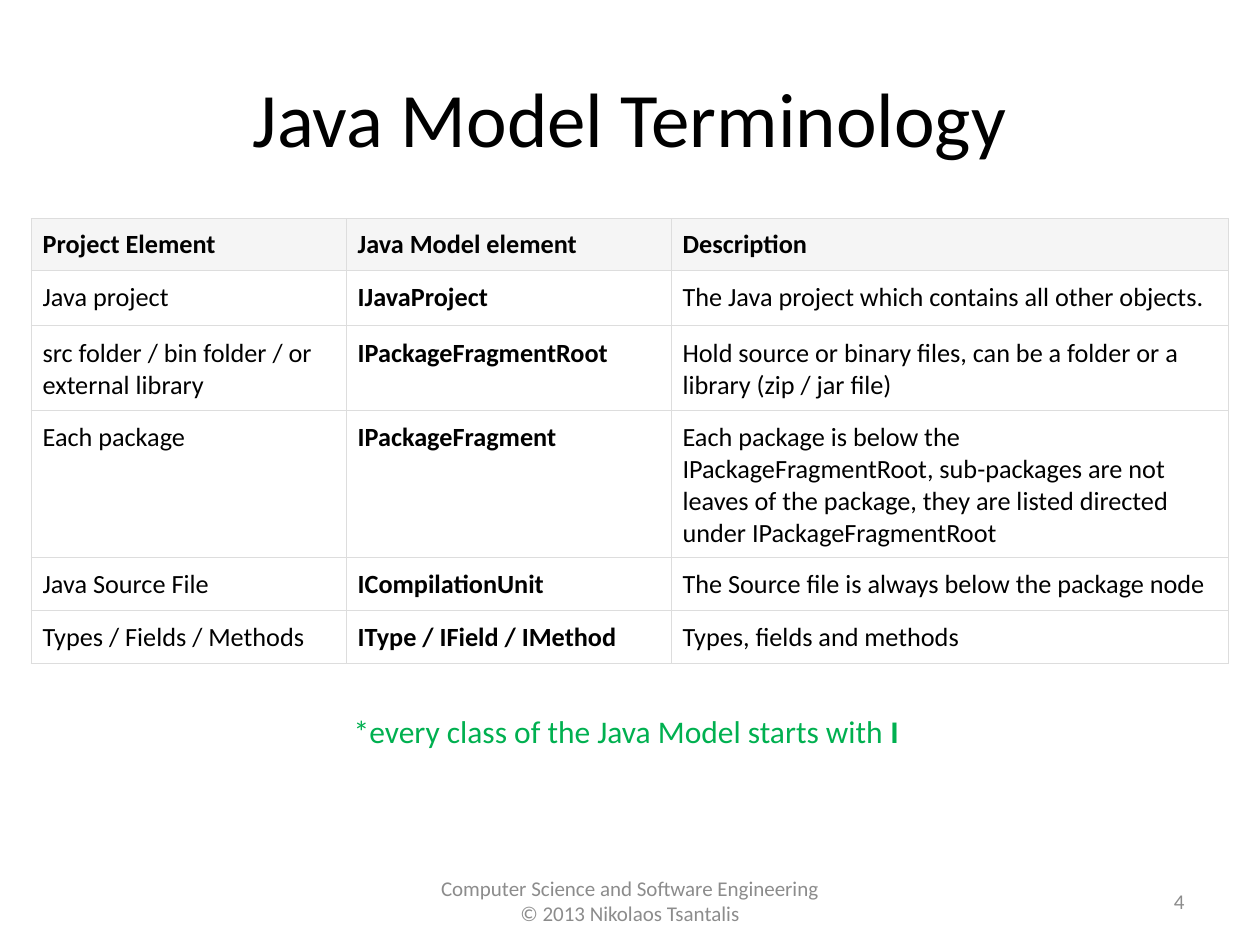
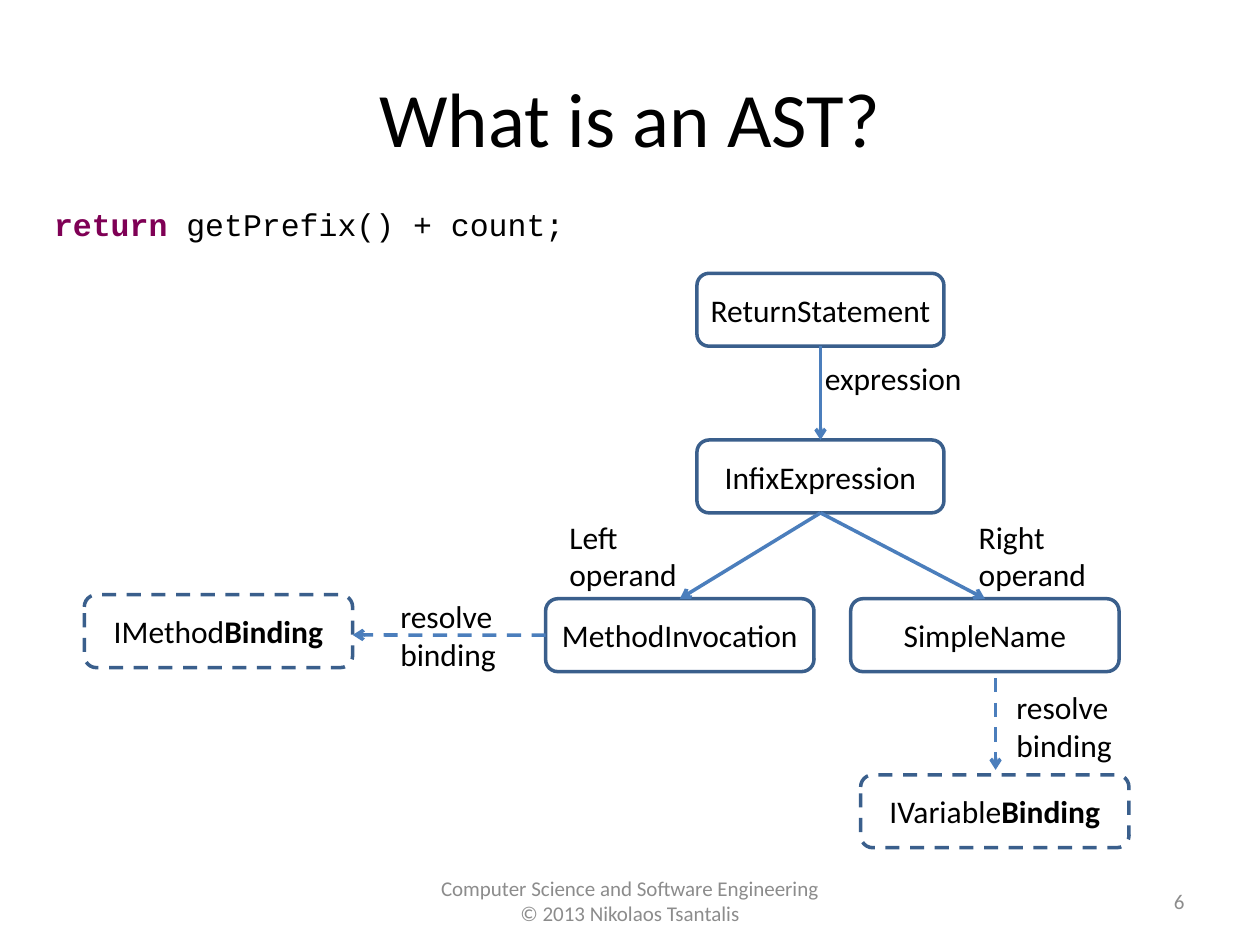
from dataclasses import dataclass

from lxml import etree
from pptx import Presentation
from pptx import util as u
from pptx.dml.color import RGBColor
from pptx.enum import dml, shapes, text
from pptx.oxml import ns

BLACK, WHITE, GREY, GREEN, PURPLE = "000000", "FFFFFF", "8C8C8C", "00B050", "7F0055"
HEADER_FILL, BORDER = "F5F5F5", "DDDDDD"
NODE_LINE, ARROW_LINE = "3A5F8C", "4B7EBC"
BODY_FONT, CODE_FONT = "Calibri", "Courier New"
LEFT, CENTER, RIGHT = text.PP_ALIGN.LEFT, text.PP_ALIGN.CENTER, text.PP_ALIGN.RIGHT
TOP_SIDE, LEFT_SIDE, BOTTOM_SIDE = 0, 1, 2
NODE_HEIGHT = 1.47
FOOTER_TOP, FOOTER_HEIGHT = 17.65, 1.02

TABLE_COLUMNS = [6.35, 6.55, 11.23]
TABLE_ROWS = [
    (1.02, "Project Element", "Java Model element", "Description"),
    (1.12, "Java project", "IJavaProject",
     "The Java project which contains all other objects."),
    (1.55, "src folder / bin folder / or external library", "IPackageFragmentRoot",
     "Hold source or binary files, can be a folder or a library (zip / jar file)"),
    (2.21, "Each package", "IPackageFragment",
     "Each package is below the IPackageFragmentRoot, sub-packages are not leaves "
     "of the package, they are listed directed under IPackageFragmentRoot"),
    (0.94, "Java Source File", "ICompilationUnit",
     "The Source file is always below the package node"),
    (1.04, "Types / Fields / Methods", "IType / IField / IMethod",
     "Types, fields and methods"),
]


@dataclass
class Run:
    wording: str
    size: int = 18
    color: str = BLACK
    bold: bool = False
    font: str = BODY_FONT


def rgb(color):
    return RGBColor.from_string(color)


def write(frame, lines, align=LEFT):
    """Fill a text frame; each line is a list of runs."""
    for index, runs in enumerate(lines):
        paragraph = frame.add_paragraph() if index else frame.paragraphs[0]
        paragraph.alignment = align
        for item in runs:
            run = paragraph.add_run()
            run.text = item.wording
            run.font.name = item.font
            run.font.size = u.Pt(item.size)
            run.font.bold = item.bold
            run.font.color.rgb = rgb(item.color)


def add_block(slide, box, lines, align):
    """Add a fixed, wrapped text box with vertically centred text."""
    frame = slide.shapes.add_textbox(*map(u.Cm, box)).text_frame
    frame.word_wrap = True
    frame.vertical_anchor = text.MSO_ANCHOR.MIDDLE
    write(frame, lines, align)


def add_label(slide, left, top, width, *lines):
    """Add an unwrapped text box that fits its lines."""
    height = 1.02 if len(lines) == 1 else 1.8
    frame = slide.shapes.add_textbox(*map(u.Cm, (left, top, width, height))).text_frame
    frame.word_wrap = False
    frame.auto_size = text.MSO_AUTO_SIZE.SHAPE_TO_FIT_TEXT
    write(frame, lines)


def add_slide(presentation, title, number):
    """Add a slide with the shared title, footer and slide number."""
    slide = presentation.slides.add_slide(presentation.slide_layouts[6])
    footer = ["Computer Science and Software Engineering", "© 2013 Nikolaos Tsantalis"]
    add_block(slide, (0, FOOTER_TOP, 25.4, FOOTER_HEIGHT),
              [[Run(line, 12, GREY)] for line in footer], CENTER)
    add_block(slide, (1.27, 0.76, 22.86, 3.18), [[Run(title, 44)]], CENTER)
    add_block(slide, (18.21, FOOTER_TOP, 5.92, FOOTER_HEIGHT),
              [[Run(str(number), 12, GREY)]], RIGHT)
    return slide


def set_borders(cell, color, points):
    properties = cell._tc.get_or_add_tcPr()
    for side in ("a:lnL", "a:lnR", "a:lnT", "a:lnB"):
        line = etree.SubElement(properties, ns.qn(side), w=str(u.Pt(points)))
        fill = etree.SubElement(line, ns.qn("a:solidFill"))
        etree.SubElement(fill, ns.qn("a:srgbClr"), val=color)


def add_terminology_table(slide, left, top):
    height = sum(row[0] for row in TABLE_ROWS)
    box = (left, top, sum(TABLE_COLUMNS), height)
    table = slide.shapes.add_table(
        len(TABLE_ROWS), len(TABLE_COLUMNS), *map(u.Cm, box)).table
    table.horz_banding = False
    for column, width in zip(table.columns, TABLE_COLUMNS):
        column.width = u.Cm(width)
    for row_index, (row_height, *wordings) in enumerate(TABLE_ROWS):
        is_header = row_index == 0
        table.rows[row_index].height = u.Cm(row_height)
        for column_index, wording in enumerate(wordings):
            cell = table.cell(row_index, column_index)
            set_borders(cell, BORDER, 0.75)
            cell.fill.solid()
            cell.fill.fore_color.rgb = rgb(HEADER_FILL if is_header else WHITE)
            cell.margin_left = cell.margin_right = u.Cm(0.23)
            cell.margin_top = u.Cm(0.2 if is_header else 0.23)
            cell.margin_bottom = u.Cm(0.2)
            cell.vertical_anchor = (
                text.MSO_ANCHOR.MIDDLE if is_header else text.MSO_ANCHOR.TOP)
            bold = is_header or column_index == 1
            write(cell.text_frame, [[Run(wording, 15, bold=bold)]])


def style_line(line, color, dashed):
    line.color.rgb = rgb(color)
    line.width = u.Pt(2)
    if dashed:
        line.dash_style = dml.MSO_LINE.DASH


def add_node(slide, left, top, width, *runs, dashed=False):
    node = slide.shapes.add_shape(
        shapes.MSO_SHAPE.ROUNDED_RECTANGLE,
        *map(u.Cm, (left, top, width, NODE_HEIGHT)))
    node.shadow.inherit = False
    node.fill.background()
    style_line(node.line, NODE_LINE, dashed)
    frame = node.text_frame
    frame.word_wrap = True
    frame.margin_left = frame.margin_right = 0
    frame.vertical_anchor = text.MSO_ANCHOR.MIDDLE
    write(frame, [runs], CENTER)
    return node


def add_arrow(slide, start=(0, 0), end=(0, 0), source=None, target=None, dashed=False):
    """Draw an arrow; source and target are (node, side) and replace a point."""
    arrow = slide.shapes.add_connector(
        shapes.MSO_CONNECTOR.STRAIGHT, *map(u.Cm, (*start, *end)))
    if source:
        arrow.begin_connect(*source)
    if target:
        arrow.end_connect(*target)
    style_line(arrow.line, ARROW_LINE, dashed)
    etree.SubElement(arrow.line._get_or_add_ln(), ns.qn("a:tailEnd"), type="arrow")
    etree.SubElement(arrow._element.spPr, ns.qn("a:effectLst"))


def build_terminology_slide(presentation):
    slide = add_slide(presentation, "Java Model Terminology", 4)
    add_terminology_table(slide, 0.63, 4.41)
    add_label(slide, 6.88, 14.22, 11.61,
              [Run("*every class of the Java Model starts with ", color=GREEN),
               Run("I", color=GREEN, bold=True)])


def build_ast_slide(presentation):
    slide = add_slide(presentation, "What is an AST?", 6)
    add_label(slide, 0.84, 4.01, 10.85,
              [Run("return ", color=PURPLE, bold=True, font=CODE_FONT),
               Run("getPrefix() + count;", font=CODE_FONT)])

    binding = Run("Binding", bold=True)
    statement = add_node(slide, 14.05, 5.51, 4.98, Run("ReturnStatement"))
    infix = add_node(slide, 14.05, 8.87, 4.98, Run("InfixExpression"))
    invocation = add_node(slide, 11, 12.07, 5.41, Run("MethodInvocation"))
    simple_name = add_node(slide, 17.15, 12.07, 5.41, Run("SimpleName"))
    add_node(slide, 1.7, 11.99, 5.41, Run("IMethod"), binding, dashed=True)
    add_node(slide, 17.35, 15.62, 5.41, Run("IVariable"), binding, dashed=True)

    for parent, child in ((statement, infix), (infix, invocation), (infix, simple_name)):
        add_arrow(slide, source=(parent, BOTTOM_SIDE), target=(child, TOP_SIDE))
    add_arrow(slide, end=(7.11, 12.8), source=(invocation, LEFT_SIDE), dashed=True)
    add_arrow(slide, start=(20.07, 13.67), end=(20.07, 15.52), dashed=True)

    for left, top, width, wordings in (
        (16.38, 7.11, 3.3, ["expression"]),
        (11.23, 10.31, 2.69, ["Left", "operand"]),
        (19.48, 10.31, 2.69, ["Right", "operand"]),
        (7.82, 11.91, 2.46, ["resolve", "binding"]),
        (20.24, 13.74, 2.46, ["resolve", "binding"]),
    ):
        add_label(slide, left, top, width, *([Run(wording)] for wording in wordings))


def main():
    presentation = Presentation()
    presentation.slide_width = u.Cm(25.4)
    presentation.slide_height = u.Cm(19.05)
    build_terminology_slide(presentation)
    build_ast_slide(presentation)
    presentation.save("out.pptx")


if __name__ == "__main__":
    main()
